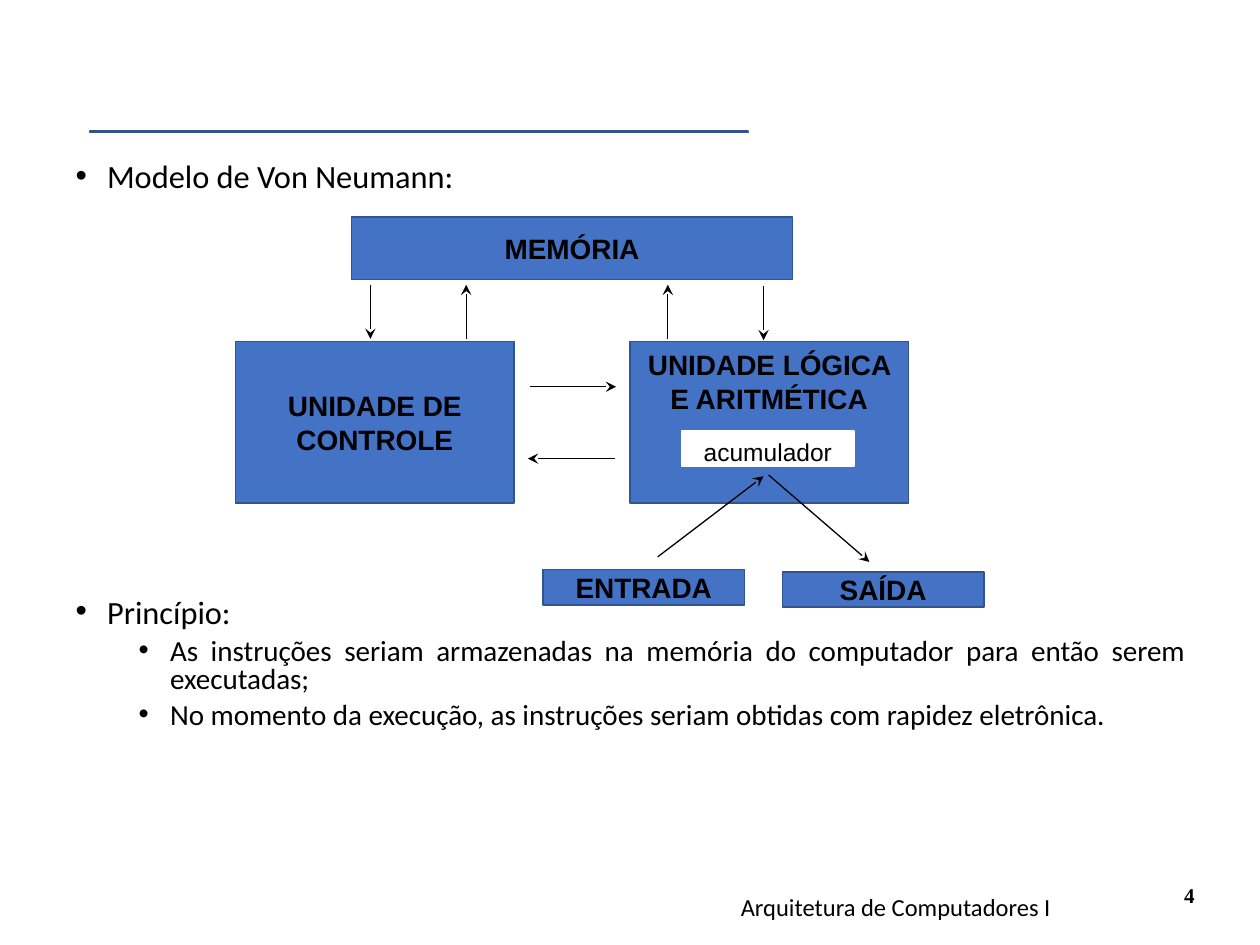
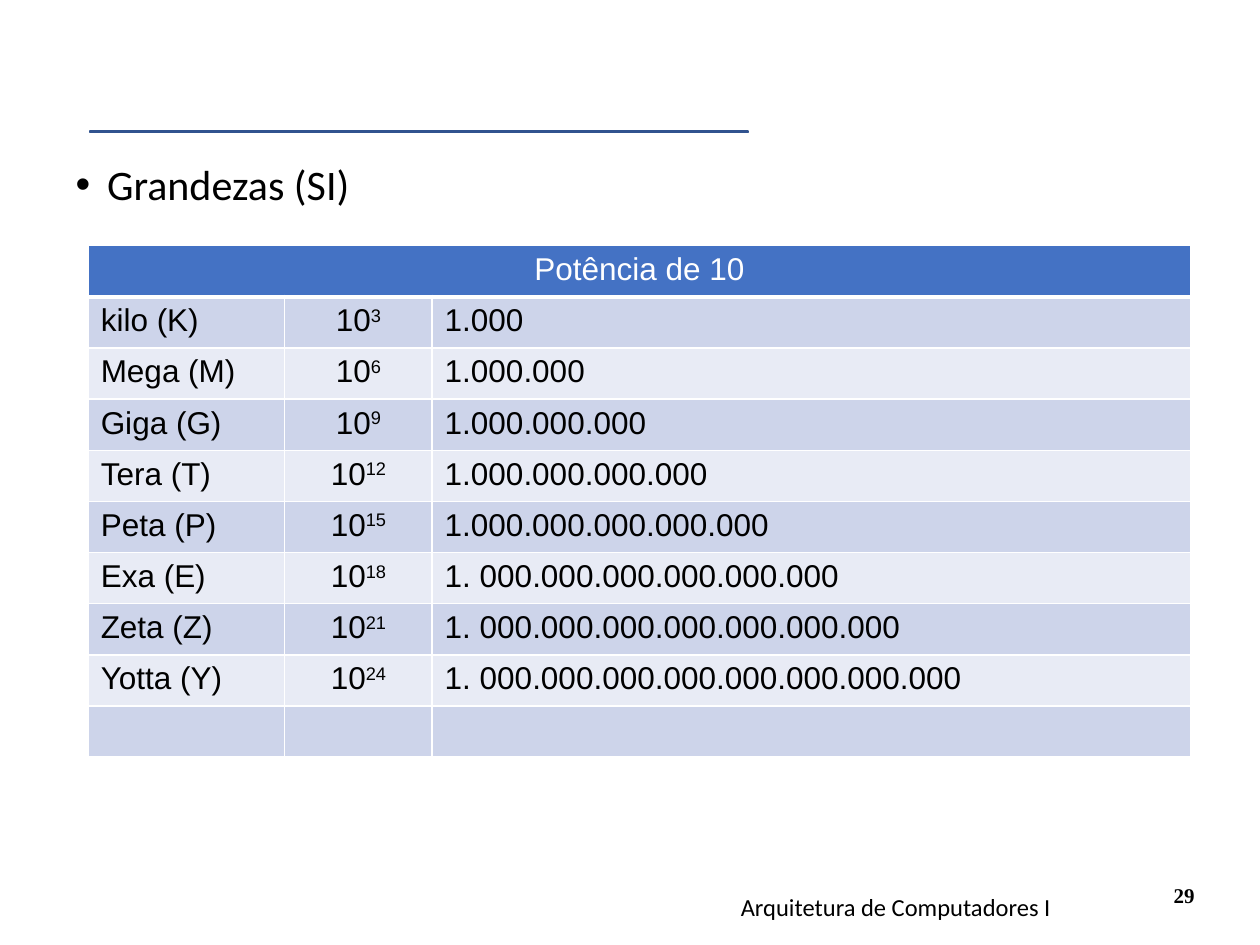
import pptx
import pptx.util
import pptx.dml.color
import pptx.enum.shapes
import pptx.enum.text
import pptx.oxml.ns
import lxml.etree

Inches = pptx.util.Inches
Pt = pptx.util.Pt
qn = pptx.oxml.ns.qn
Align = pptx.enum.text.PP_ALIGN
Anchor = pptx.enum.text.MSO_ANCHOR
Preset = pptx.enum.shapes.MSO_SHAPE

COLORS = {
    "black": "000000",
    "white": "FFFFFF",
    "blue": "4472C4",
    "outline": "31538F",
    "band_dark": "CDD4EA",
    "band_light": "E8EBF5",
}


def write_text(frame, text, size=16, font="Arial", color="black", bold=False,
               align=Align.LEFT, superscript="", level=0, bullet_indent=None,
               line_spacing=None, space_before=0):
    paragraph = frame.paragraphs[0]
    if paragraph.runs:
        paragraph = frame.add_paragraph()
    paragraph.alignment = align
    paragraph.level = level
    paragraph.space_before = Pt(space_before)
    if line_spacing:
        paragraph.line_spacing = line_spacing
    for content, baseline in ((text, "0"), (superscript, "30000")):
        if content:
            run = paragraph.add_run()
            run.text = content
            run.font.size = Pt(size)
            run.font.name = font
            run.font.bold = bold
            run.font.color.rgb = pptx.dml.color.RGBColor.from_string(COLORS[color])
            run._r.get_or_add_rPr().set("baseline", baseline)
    if bullet_indent:
        properties = paragraph._p.get_or_add_pPr()
        properties.set("marL", str(Inches(bullet_indent)))
        properties.set("indent", str(Inches(-0.25)))
        bullet_color = lxml.etree.SubElement(properties, qn("a:buClr"))
        lxml.etree.SubElement(bullet_color, qn("a:srgbClr"), val=COLORS["black"])
        lxml.etree.SubElement(properties, qn("a:buFont"), typeface="Arial")
        lxml.etree.SubElement(properties, qn("a:buChar"), char="•")


def add_box(slide, preset, left, top, width, height, fill="blue", outline="outline"):
    shape = slide.shapes.add_shape(
        preset, Inches(left), Inches(top), Inches(width), Inches(height))
    shape.shadow.inherit = False
    shape.fill.solid()
    shape.fill.fore_color.rgb = pptx.dml.color.RGBColor.from_string(COLORS[fill])
    shape.line.color.rgb = pptx.dml.color.RGBColor.from_string(COLORS[outline])
    shape.line.width = Pt(1)
    return shape


presentation = pptx.Presentation()
presentation.slide_width = Inches(10)
presentation.slide_height = Inches(7.5)

bodies = []
for slide_number in ("4", "29"):
    slide = presentation.slides.add_slide(presentation.slide_layouts[1])
    title = slide.shapes.title._element
    title.getparent().remove(title)
    body = slide.placeholders[1]
    body.left, body.top = Inches(0.5), Inches(1.25)
    body.width, body.height = Inches(9), Inches(4.95)
    body.text_frame.auto_size = pptx.enum.text.MSO_AUTO_SIZE.NONE
    body.text_frame.vertical_anchor = Anchor.TOP
    bodies.append(body.text_frame)

    rule = add_box(slide, Preset.MATH_MINUS, -0.23, 1.02, 7.11, 0.05)
    rule.adjustments[0] = 0.235

    number_box = slide.shapes.add_textbox(Inches(7), Inches(6.75), Inches(2.58), Inches(0.5))
    number_box.text_frame.word_wrap = True
    number_box.text_frame.vertical_anchor = Anchor.BOTTOM
    write_text(number_box.text_frame, slide_number, size=12, font="Times New Roman",
               bold=True, align=Align.RIGHT)

    footer = slide.shapes.add_textbox(Inches(4.89), Inches(7.03), Inches(4.44), Inches(0.5))
    footer.text_frame.word_wrap = True
    write_text(footer.text_frame, "Arquitetura de Computadores I", size=14,
               font="Calibri", align=Align.CENTER)

model_slide, units_slide = presentation.slides
model_body, units_body = bodies

for text, level, size, space_before in (
    ("Modelo de Von Neumann:", 0, 18.5, 0),
    ("Princípio:", 0, 18.5, 231),
    ("As instruções seriam armazenadas na memória do computador para então serem executadas;",
     1, 16.6, 5),
    ("No momento da execução, as instruções seriam obtidas com rapidez eletrônica.",
     1, 16.6, 5),
):
    write_text(model_body, text, size=size, font="Calibri", align=Align.JUSTIFY, level=level,
               bullet_indent=0.25 + 0.5 * level, line_spacing=0.8, space_before=space_before)

for text, left, top, width, height, anchor in (
    ("MEMÓRIA", 2.79, 1.72, 3.5, 0.5, Anchor.MIDDLE),
    ("UNIDADE DE CONTROLE", 1.87, 2.71, 2.21, 1.28, Anchor.MIDDLE),
    ("UNIDADE LÓGICA E ARITMÉTICA", 5, 2.71, 2.21, 1.28, Anchor.TOP),
    ("acumulador", 5.41, 3.42, 1.37, 0.28, Anchor.TOP),
    ("ENTRADA", 4.31, 4.52, 1.6, 0.28, Anchor.MIDDLE),
    ("SAÍDA", 6.21, 4.54, 1.6, 0.28, Anchor.MIDDLE),
):
    is_register = text == "acumulador"
    fill, outline = ("white", "white") if is_register else ("blue", "outline")
    unit = add_box(model_slide, Preset.RECTANGLE, left, top, width, height, fill, outline)
    frame = unit.text_frame
    frame.word_wrap = True
    frame.vertical_anchor = anchor
    frame.margin_top = Inches(0.05 if anchor == Anchor.TOP else 0)
    frame.margin_bottom = 0
    write_text(frame, text, size=14 if is_register else 16, bold=not is_register,
               align=Align.CENTER)

for start_x, start_y, end_x, end_y in (
    (2.94, 2.26, 2.94, 2.69),
    (6.06, 2.27, 6.06, 2.7),
    (3.7, 2.69, 3.7, 2.26),
    (5.3, 2.69, 5.3, 2.26),
    (4.21, 3.07, 4.89, 3.07),
    (4.88, 3.64, 4.19, 3.64),
    (5.22, 4.42, 6.06, 3.78),
    (6.1, 3.77, 6.9, 4.46),
):
    arrow = model_slide.shapes.add_connector(
        pptx.enum.shapes.MSO_CONNECTOR.STRAIGHT,
        Inches(start_x), Inches(start_y), Inches(end_x), Inches(end_y))
    arrow.line.color.rgb = pptx.dml.color.RGBColor.from_string(COLORS["black"])
    arrow.line.width = Pt(0.75)
    lxml.etree.SubElement(arrow.line._get_or_add_ln(), qn("a:tailEnd"), type="stealth")
    lxml.etree.SubElement(arrow._element.spPr, qn("a:effectLst"))

write_text(units_body, "Grandezas (SI)", size=24, font="Calibri",
           bullet_indent=0.25, line_spacing=0.9)

rows = [
    ("Potência de 10", "", ""),
    ("kilo (K)", "3", "1.000"),
    ("Mega (M)", "6", "1.000.000"),
    ("Giga (G)", "9", "1.000.000.000"),
    ("Tera (T)", "12", "1.000.000.000.000"),
    ("Peta (P)", "15", "1.000.000.000.000.000"),
    ("Exa (E)", "18", "1. 000.000.000.000.000.000"),
    ("Zeta (Z)", "21", "1. 000.000.000.000.000.000.000"),
    ("Yotta (Y)", "24", "1. 000.000.000.000.000.000.000.000"),
    ("", "", ""),
]
table = units_slide.shapes.add_table(
    len(rows), 3, Inches(0.7), Inches(1.95), Inches(8.75), Inches(4.06)).table
for column, width in zip(table.columns, (1.56, 1.17, 6.02)):
    column.width = Inches(width)
table.cell(0, 0).merge(table.cell(0, 2))

for row_index, (prefix, exponent, value) in enumerate(rows):
    is_header = row_index == 0
    fill = "blue" if is_header else ("band_light", "band_dark")[row_index % 2]
    for column_index, text in enumerate((prefix, "10" if exponent else "", value)):
        cell = table.cell(row_index, column_index)
        cell.fill.solid()
        cell.fill.fore_color.rgb = pptx.dml.color.RGBColor.from_string(COLORS[fill])
        is_power = column_index == 1
        if text:
            write_text(cell.text_frame, text, size=18,
                       color="white" if is_header else "black",
                       align=Align.CENTER if is_header or is_power else Align.LEFT,
                       superscript=exponent if is_power else "")
        for position, side in enumerate(("lnL", "lnR", "lnT", "lnB")):
            under_header = (row_index, side) in ((0, "lnB"), (1, "lnT"))
            border = lxml.etree.Element(qn("a:" + side), w=str(Pt(3 if under_header else 1)))
            border_fill = lxml.etree.SubElement(border, qn("a:solidFill"))
            lxml.etree.SubElement(border_fill, qn("a:srgbClr"), val=COLORS["white"])
            cell._tc.get_or_add_tcPr().insert(position, border)

presentation.save("out.pptx")
